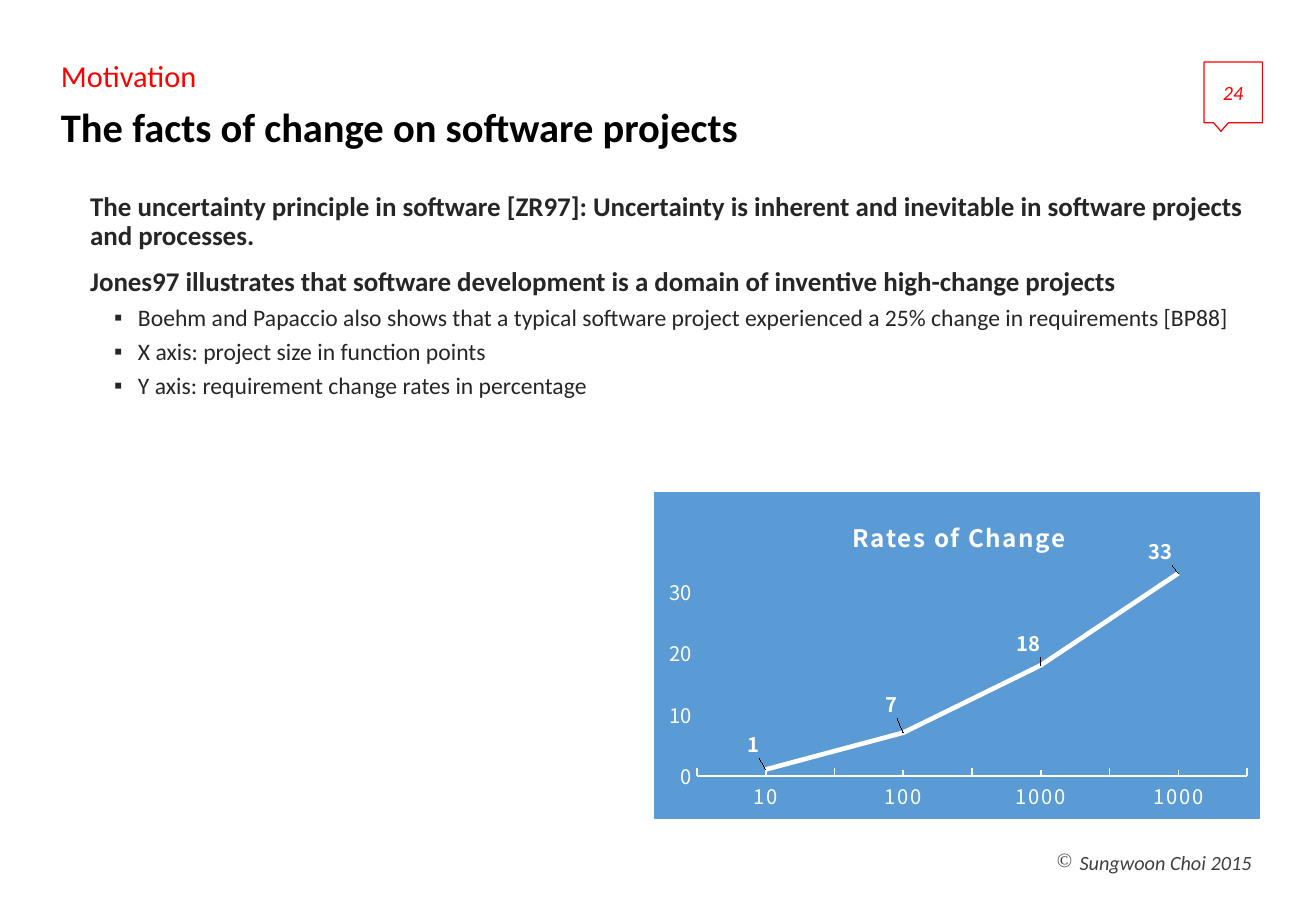
import pptx
import pptx.chart.data
import pptx.dml.color
import pptx.enum.chart
import pptx.enum.shapes
import pptx.enum.text
import pptx.oxml
import pptx.oxml.ns
import pptx.util
from pptx.util import Cm

RED = pptx.dml.color.RGBColor(0xFF, 0x00, 0x00)
BLACK = pptx.dml.color.RGBColor(0x00, 0x00, 0x00)
DARK = pptx.dml.color.RGBColor(0x26, 0x26, 0x26)
GRAY = pptx.dml.color.RGBColor(0x40, 0x40, 0x40)
WHITE = pptx.dml.color.RGBColor(0xFF, 0xFF, 0xFF)
BLUE = pptx.dml.color.RGBColor(0x5B, 0x9B, 0xD5)
TEXT_FONT = "Calibri"
CHART_FONT = "Noto Sans CJK KR"
LETTER_SPACING = "100"

BODY_LINES = [
    (0, "The uncertainty principle in software [ZR97]: Uncertainty is inherent and inevitable "
        "in software projects and processes."),
    (0, "Jones97 illustrates that software development is a domain of inventive high-change projects"),
    (1, "Boehm and Papaccio also shows that a typical software project experienced "
        "a 25% change in requirements [BP88]"),
    (1, "X axis: project size in function points"),
    (1, "Y axis: requirement change rates in percentage"),
]
CHANGE_RATES = [("10", 1), ("100", 7), ("1000", 18), ("1000", 33)]
LABEL_OFFSETS = [(-0.02, -0.08), (-0.02, -0.09), (-0.02, -0.07), (-0.03, -0.07)]


def style_font(font, size, color, name=TEXT_FONT, bold=False, italic=False):
    font.name = name
    font.size = pptx.util.Pt(size)
    font.bold = bold
    font.italic = italic
    font.color.rgb = color


def add_run(paragraph, text, size, color, **style):
    run = paragraph.add_run()
    run.text = text
    style_font(run.font, size, color, **style)
    return run


def place(shape, left, top, width, height):
    shape.left, shape.top, shape.width, shape.height = left, top, width, height


def prepare_frame(shape, anchor):
    frame = shape.text_frame
    frame.word_wrap = True
    frame.auto_size = pptx.enum.text.MSO_AUTO_SIZE.NONE
    frame.vertical_anchor = anchor
    return frame


def set_bullet(paragraph, character=None, margin=0, hanging=0):
    properties = paragraph._p.get_or_add_pPr()
    properties.set("marL", str(margin))
    properties.set("indent", str(-hanging))
    if character:
        bullet = pptx.oxml.ns.qn("a:buChar")
        properties.makeelement(bullet)
        element = properties.makeelement(bullet, {"char": character})
    else:
        element = properties.makeelement(pptx.oxml.ns.qn("a:buNone"))
    properties.append(element)


def format_paragraph(paragraph, space_before):
    paragraph.alignment = pptx.enum.text.PP_ALIGN.LEFT
    paragraph.line_spacing = 0.9
    paragraph.space_before = pptx.util.Pt(space_before)


def set_layout(parent, index, **values):
    existing = parent.find(pptx.oxml.ns.qn("c:layout"))
    if existing is not None:
        parent.remove(existing)
    settings = "".join(f'<c:{key} val="{value}"/>' for key, value in values.items())
    parent.insert(index, pptx.oxml.parse_xml(
        f'<c:layout {pptx.oxml.ns.nsdecls("c")}><c:manualLayout>{settings}</c:manualLayout></c:layout>'))


def fill_header(title, topic, left, top, width, height):
    row = height // 2
    rows = [(topic, "Motivation", 18, RED, False, 10),
            (title, "The facts of change on software projects", 24, BLACK, True, 0)]
    for index, (shape, text, size, color, bold, space) in enumerate(rows):
        place(shape, left, top + index * row, width, row)
        paragraph = prepare_frame(shape, pptx.enum.text.MSO_ANCHOR.MIDDLE).paragraphs[0]
        format_paragraph(paragraph, space)
        set_bullet(paragraph)
        add_run(paragraph, text, size, color, bold=bold)


def fill_body(body, left, top, width, height):
    place(body, left, top, width, height)
    frame = prepare_frame(body, pptx.enum.text.MSO_ANCHOR.TOP)
    for index, (level, text) in enumerate(BODY_LINES):
        paragraph = frame.add_paragraph() if index else frame.paragraphs[0]
        paragraph.level = level
        format_paragraph(paragraph, 5 if level else 10)
        if level:
            set_bullet(paragraph, "▪", Cm(1), Cm(0.5))
        else:
            set_bullet(paragraph)
        add_run(paragraph, text, 14 if level else 16, DARK, bold=not level)


def add_rates_chart(slide, left, top, width, height):
    data = pptx.chart.data.CategoryChartData()
    data.categories = [size for size, rate in CHANGE_RATES]
    data.add_series("Rates of Change", [rate for size, rate in CHANGE_RATES])
    chart = slide.shapes.add_chart(
        pptx.enum.chart.XL_CHART_TYPE.LINE, left, top, width, height, data).chart
    chart.has_legend = False
    style_font(chart.font, 12, WHITE, CHART_FONT)
    color_fill = f'<a:solidFill><a:srgbClr val="{BLUE}"/></a:solidFill>'
    chart.element.find(pptx.oxml.ns.qn("c:chart")).addnext(pptx.oxml.parse_xml(
        f'<c:spPr {pptx.oxml.ns.nsdecls("c", "a")}>{color_fill}<a:ln w="9525">{color_fill}</a:ln></c:spPr>'))

    chart.has_title = True
    title_run = add_run(chart.chart_title.text_frame.paragraphs[0],
                        "Rates of Change", 14.4, WHITE, name=CHART_FONT, bold=True)
    title_run._r.get_or_add_rPr().set("spc", LETTER_SPACING)
    set_layout(chart.element.find(".//" + pptx.oxml.ns.qn("c:title")), 1,
               xMode="edge", yMode="edge", x=0.32, y=0.06)
    set_layout(chart.element.find(".//" + pptx.oxml.ns.qn("c:plotArea")), 0,
               layoutTarget="inner", xMode="edge", yMode="edge", x=0.07, y=0.21, w=0.91, h=0.66)
    style_axes(chart)
    style_series(chart.plots[0])


def style_axes(chart):
    tick_mark = pptx.enum.chart.XL_TICK_MARK
    for axis, mark in ((chart.category_axis, tick_mark.INSIDE), (chart.value_axis, tick_mark.NONE)):
        axis.has_major_gridlines = False
        axis.major_tick_mark = axis.minor_tick_mark = mark
        style_font(axis.tick_labels.font, 12, WHITE, CHART_FONT)
    category_line = chart.category_axis.format.line
    category_line.color.rgb = WHITE
    category_line.width = pptx.util.Pt(1)
    chart.category_axis._element.find(".//" + pptx.oxml.ns.qn("a:defRPr")).set("spc", LETTER_SPACING)
    chart.value_axis.format.line.fill.background()
    chart.value_axis.minimum_scale = 0
    chart.value_axis.maximum_scale = 35
    chart.value_axis.major_unit = 10


def style_series(plot):
    plot.vary_by_categories = False
    series = plot.series[0]
    series.smooth = False
    series.marker.style = pptx.enum.chart.XL_MARKER_STYLE.NONE
    series.format.line.color.rgb = WHITE
    series.format.line.width = pptx.util.Pt(2.75)
    center = pptx.enum.chart.XL_LABEL_POSITION.CENTER
    series.data_labels.show_value = True
    series.data_labels.position = center
    style_font(series.data_labels.font, 12, WHITE, CHART_FONT, bold=True)
    for index, (x, y) in enumerate(LABEL_OFFSETS):
        label = series.points[index].data_label
        label.position = center
        style_font(label.font, 12, WHITE, CHART_FONT, bold=True)
    label_elements = series._element.findall(".//" + pptx.oxml.ns.qn("c:dLbl"))
    for element, (x, y) in zip(label_elements, LABEL_OFFSETS):
        set_layout(element, 1, x=x, y=y)


def add_copyright(slide, left, top, width, height):
    box = slide.shapes.add_textbox(left, top, width, height)
    paragraph = prepare_frame(box, pptx.enum.text.MSO_ANCHOR.MIDDLE).paragraphs[0]
    paragraph.alignment = pptx.enum.text.PP_ALIGN.RIGHT
    set_bullet(paragraph, "©", Cm(0.48), Cm(0.48))
    add_run(paragraph, "Sungwoon Choi 2015", 12, GRAY, italic=True)


def add_page_number(slide, left, top, width, height):
    callout = slide.shapes.add_shape(
        pptx.enum.shapes.MSO_SHAPE.RECTANGULAR_CALLOUT, left, top, width, height)
    callout.shadow.inherit = False
    callout.adjustments[0] = -0.21
    callout.adjustments[1] = 0.64
    callout.fill.background()
    callout.line.color.rgb = RED
    callout.line.width = pptx.util.Pt(0.75)
    frame = prepare_frame(callout, pptx.enum.text.MSO_ANCHOR.MIDDLE)
    frame.margin_left = frame.margin_right = 0
    frame.paragraphs[0].alignment = pptx.enum.text.PP_ALIGN.CENTER
    add_run(frame.paragraphs[0], "24", 12, RED, italic=True)


def main():
    presentation = pptx.Presentation()
    presentation.slide_width, presentation.slide_height = Cm(27.51), Cm(19.05)
    slide = presentation.slides.add_slide(presentation.slide_layouts[3])
    title, topic, body = slide.placeholders
    fill_header(title, topic, Cm(1.02), Cm(1.09), Cm(23.42), Cm(2.14))
    fill_body(body, Cm(1.63), Cm(3.91), Cm(24.79), Cm(13.41))
    add_rates_chart(slide, Cm(13.67), Cm(10.29), Cm(12.67), Cm(6.83))
    add_copyright(slide, Cm(17.12), Cm(17.53), Cm(9.3), Cm(1.02))
    add_page_number(slide, Cm(25.17), Cm(1.3), Cm(1.22), Cm(1.27))
    presentation.save("out.pptx")


if __name__ == "__main__":
    main()
